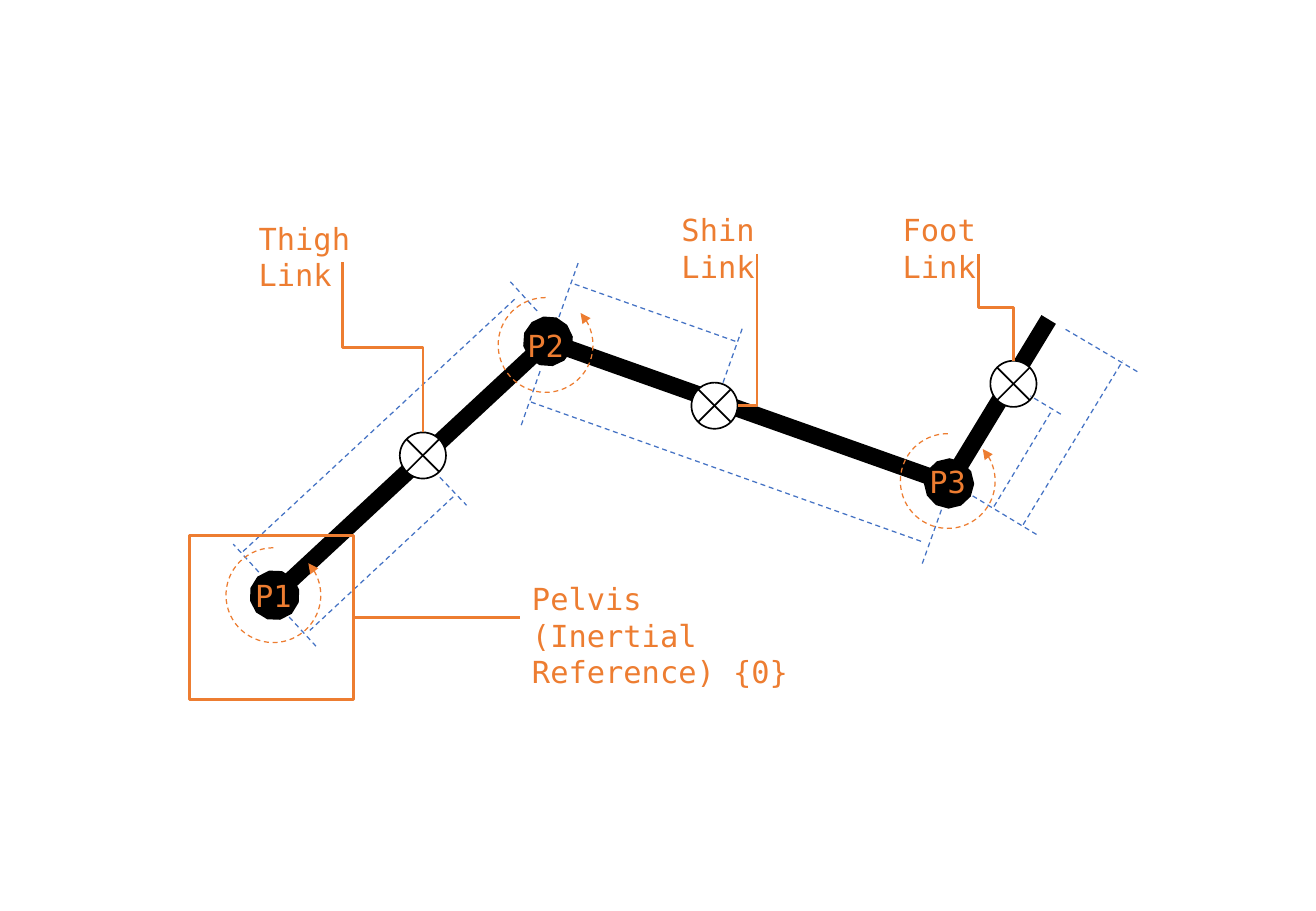
from lxml.etree import SubElement
from pptx import Presentation
from pptx.dml.color import RGBColor
from pptx.enum.dml import MSO_LINE
from pptx.enum.shapes import MSO_CONNECTOR, MSO_SHAPE
from pptx.enum.text import MSO_ANCHOR, PP_ALIGN
from pptx.oxml.ns import qn
from pptx.util import Inches, Pt

BLACK = RGBColor(0x00, 0x00, 0x00)
WHITE = RGBColor(0xFF, 0xFF, 0xFF)
BLUE = RGBColor(0x44, 0x72, 0xC4)
ORANGE = RGBColor(0xED, 0x7D, 0x31)
FONT = "DejaVu Sans Mono"

# Positions are columns and rows of a grid with cells of a tenth of an inch.
CELL = Inches(0.1)
JUNCTION, SWEEP, PELVIS = 3.8, 7.8, 13.5

HIP, KNEE, ANKLE, TOE = (22.6, 49), (45.1, 28.1), (78.1, 39.8), (86.3, 26.3)
BONES = [(HIP, KNEE), (KNEE, ANKLE), (ANKLE, TOE)]
MASS_CENTRES = [(34.8, 37.5), (58.8, 33.4), (83.4, 31.6)]
JOINTS = [("P1", 22.5, 49), ("P3", 78, 39.6), ("P2", 44.9, 28.4)]

# Each dimension is its measuring line followed by its extension lines.
DIMENSIONS = {
    "thigh length": [(20, 45.4, 42.5, 24.5), (44.2, 25.6, 42, 23.2),
                     (21.3, 47.1, 19.2, 44.8)],
    "thigh centre": [(37.3, 40.9, 25.5, 51.9), (23.8, 50.8, 26, 53.2),
                     (36.2, 39.3, 38.4, 41.6)],
    "shin length": [(43.7, 33.1, 75.9, 44.6), (42.9, 35, 44.5, 30.4),
                    (75.9, 46.4, 77.5, 41.9)],
    "shin centre": [(47.3, 23.4, 60.8, 28.2), (46, 26.1, 47.6, 21.6),
                    (59.5, 31.5, 61.1, 27)],
    "foot length": [(84.2, 43.2, 92.4, 29.7), (93.6, 30.6, 87.5, 27)],
    "foot centre": [(81.8, 41.7, 86.5, 33.9), (85.3, 44, 80, 40.8),
                    (87.3, 34.1, 84.8, 32.6)],
}

# Label text, its box, and the start and end of its leader.
LINK_LABELS = [
    ("Thigh Link", (20.3, 17.6, 15.9, 4), (28.2, 21.6), (34.8, 35.6)),
    ("Shin Link", (55.1, 16.9, 14.5, 4), (62.3, 20.9), (60.7, 33.4)),
    ("Foot Link", (73.3, 16.9, 14.5, 4), (80.5, 20.9), (83.4, 29.7)),
]


def cells(box, col, row):
    left, top = box
    return round(left + col * CELL), round(top + row * CELL)


def add_line(s, box, start, end, color, width, kind=MSO_CONNECTOR.STRAIGHT):
    line = s.add_connector(kind, *cells(box, *start), *cells(box, *end))
    line.line.color.rgb = color
    line.line.width = Pt(width)
    SubElement(line._element.spPr, qn("a:effectLst"))
    return line


def add_outline(s, box, shape_type, col, row, size, color, width):
    """Add an unfilled square shape."""
    sp = s.add_shape(shape_type, *cells(box, col, row),
                     round(size * CELL), round(size * CELL))
    sp.shadow.inherit = False
    sp.fill.background()
    sp.line.color.rgb = color
    sp.line.width = Pt(width)
    return sp


def add_line_end(shape, end, kind):
    SubElement(shape.line._get_or_add_ln(), qn(f"a:{end}")).set("type", kind)


def write(tf, text):
    tf.word_wrap = True
    p = tf.paragraphs[0]
    p.text = text
    p.font.name = FONT
    p.font.size = Pt(18)
    p.font.color.rgb = ORANGE
    return p


def add_label(s, box, text, col, row, width, height):
    label = s.add_textbox(*cells(box, col, row),
                          round(width * CELL), round(height * CELL))
    write(label.text_frame, text)
    return label


def add_leader(s, box, start, end):
    """Add an elbow connector that leaves its start vertically."""
    dx, dy = end[0] - start[0], end[1] - start[1]
    mid_col, mid_row = (start[0] + end[0]) / 2, (start[1] + end[1]) / 2
    side = 1 if dx > 0 else -1
    across, down = side * dy / 2, side * dx / 2
    leader = add_line(s, box, (mid_col + across, mid_row - down),
                      (mid_col - across, mid_row + down),
                      ORANGE, 1.5, MSO_CONNECTOR.ELBOW)
    spPr = leader._element.spPr
    spPr.get_or_add_xfrm().set("rot", str((270 if dx > 0 else 90) * 60000))
    if dx < 0:
        spPr.find(qn("a:prstGeom")).set("prst", "bentConnector2")


def draw_leg(s, box):
    for start, end in BONES:
        add_line_end(add_line(s, box, start, end, BLACK, 10), "headEnd", "oval")
    for col, row in MASS_CENTRES:
        sp = add_outline(s, box, MSO_SHAPE.FLOWCHART_SUMMING_JUNCTION,
                         col - JUNCTION / 2, row - JUNCTION / 2, JUNCTION,
                         BLACK, 1)
        sp.fill.solid()
        sp.fill.fore_color.rgb = WHITE


def draw_dimensions(s, box):
    for lines in DIMENSIONS.values():
        for x1, y1, x2, y2 in lines:
            line = add_line(s, box, (x1, y1), (x2, y2), BLUE, 0.75)
            line.line.dash_style = MSO_LINE.DASH


def draw_joints(s, box):
    for name, col, row in JOINTS:
        arc = add_outline(s, box, MSO_SHAPE.ARC, col - SWEEP / 2,
                          row - SWEEP / 2, SWEEP, ORANGE, 0.75)
        arc.adjustments[0], arc.adjustments[1] = 162, 133.46
        arc._element.spPr.get_or_add_xfrm().set("flipH", "1")
        arc.line.dash_style = MSO_LINE.DASH
        add_line_end(arc, "tailEnd", "triangle")
        arc.text_frame.vertical_anchor = MSO_ANCHOR.MIDDLE
        write(arc.text_frame, name).alignment = PP_ALIGN.CENTER


def draw_link_labels(s, box):
    for text, place, start, end in LINK_LABELS:
        add_label(s, box, text, *place)
        add_leader(s, box, start, end)


def draw_pelvis(s, box):
    label = add_label(s, box, "Pelvis (Inertial Reference) {0}",
                      42.8, 47.3, 24.7, 7.1)
    frame = add_outline(s, box, MSO_SHAPE.RECTANGLE, 15.6, 44.1, PELVIS,
                        ORANGE, 1.5)
    link = add_line(s, box, (29.1, 50.8), (42.8, 50.8), ORANGE, 1.5)
    link.begin_connect(frame, 3)
    link.end_connect(label, 1)


def main():
    prs = Presentation()
    prs.slide_width, prs.slide_height = Inches(10.83), Inches(7.5)
    s = prs.slides.add_slide(prs.slide_layouts[6]).shapes
    box = (0, 0)
    for draw in (draw_leg, draw_dimensions, draw_joints, draw_link_labels,
                 draw_pelvis):
        draw(s, box)
    prs.save("out.pptx")


if __name__ == "__main__":
    main()
